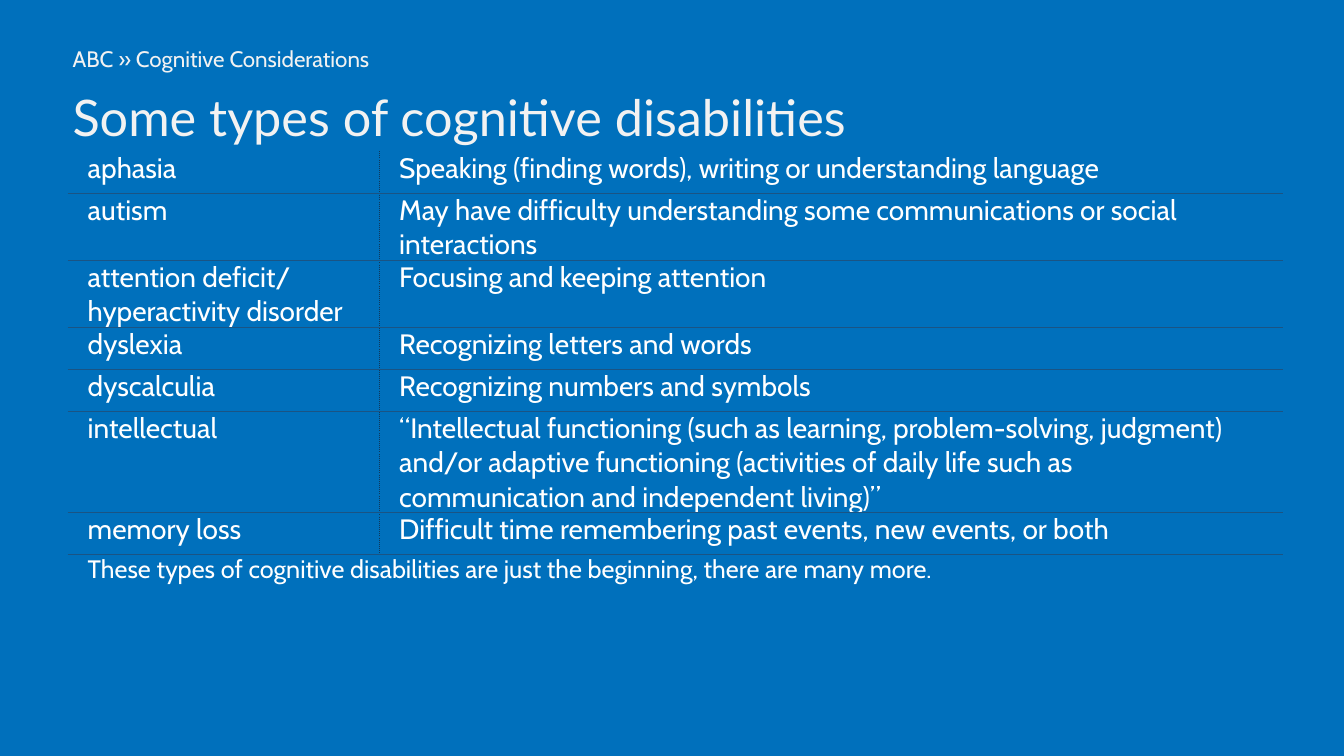
from lxml.etree import SubElement
from pptx import Presentation
from pptx.dml.color import RGBColor
from pptx.enum.text import MSO_ANCHOR as Anchor
from pptx.oxml.ns import qn
from pptx.util import Pt

BLUE = RGBColor(0x00, 0x70, 0xBC)
WHITE = RGBColor(0xFF, 0xFF, 0xFF)
PALE = RGBColor(0xF2, 0xF2, 0xF2)
ROW_LINE = RGBColor(0x1A, 0x54, 0x84)
COLUMN_LINE = RGBColor(0x10, 0x38, 0x5A)

DISABILITIES = [
    ("aphasia", "Speaking (finding words), writing or understanding language"),
    ("autism", "May have difficulty understanding some communications or social interactions"),
    ("attention deficit/\nhyperactivity disorder", "Focusing and keeping attention"),
    ("dyslexia", "Recognizing letters and words"),
    ("dyscalculia", "Recognizing numbers and symbols"),
    ("intellectual", "“Intellectual functioning (such as learning, problem-solving, judgment) "
                     "and/or adaptive functioning (activities of daily life such as "
                     "communication and independent living)”"),
    ("memory loss", "Difficult time remembering past events, new events, or both"),
]
CLOSING = "These types of cognitive disabilities are just the beginning, there are many more."


def write_text(frame, text, size=20, font="Cabin", color=WHITE, before=0, after=0, spacing=1.0):
    """Fill a text frame with one formatted paragraph."""
    frame.word_wrap = True
    paragraph = frame.paragraphs[0]
    paragraph.text = text
    paragraph.space_before, paragraph.space_after = Pt(before), Pt(after)
    paragraph.line_spacing = spacing
    for run in paragraph.runs:
        run.font.size, run.font.name = Pt(size), font
        run.font.color.rgb = color


def add_heading(slide, left, top, width, height, text, **text_format):
    """Add a vertically centred heading box."""
    frame = slide.shapes.add_textbox(Pt(left), Pt(top), Pt(width), Pt(height)).text_frame
    frame.margin_left = frame.margin_right = frame.margin_top = frame.margin_bottom = Pt(3.6)
    frame.vertical_anchor = Anchor.MIDDLE
    write_text(frame, text, **text_format)


def set_borders(cell, **borders):
    """Draw the given sides as (colour, dash) and clear the other sides."""
    properties = cell._tc.get_or_add_tcPr()
    for side in "LRTB":
        line = SubElement(properties, qn(f"a:ln{side}"), w=str(Pt(0.75)))
        if side in borders:
            color, dash = borders[side]
            fill = SubElement(line, qn("a:solidFill"))
            SubElement(fill, qn("a:srgbClr"), val=str(color))
            SubElement(line, qn("a:prstDash"), val=dash)
        else:
            SubElement(line, qn("a:noFill"))


def fill_cell(cell, text, borders, size=20):
    """Set the borders, background and text of a table cell."""
    set_borders(cell, **borders)
    cell.fill.solid()
    cell.fill.fore_color.rgb = BLUE
    cell.margin_left = cell.margin_right = Pt(14.4)
    cell.margin_top = cell.margin_bottom = 0
    write_text(cell.text_frame, text, size=size, before=10, after=5)


def add_disability_table(slide, left, top, column_widths, row_height):
    """Add the table of disabilities with a closing row across both columns."""
    row_count = len(DISABILITIES) + 1
    table = slide.shapes.add_table(row_count, 2, Pt(left), Pt(top), Pt(sum(column_widths)),
                                   Pt(row_height * row_count)).table
    table.first_row = table.horz_banding = False
    for column, width in zip(table.columns, column_widths):
        column.width = Pt(width)
    for row in table.rows:
        row.height = Pt(row_height)

    row_line, column_line = (ROW_LINE, "solid"), (COLUMN_LINE, "sysDot")
    for row_index, entry in enumerate(DISABILITIES):
        for column_index, text in enumerate(entry):
            borders = {"B": row_line, "RL"[column_index]: column_line}
            if row_index:
                borders["T"] = row_line
            fill_cell(table.cell(row_index, column_index), text, borders)

    closing_cell, covered_cell = table.rows[row_count - 1].cells
    closing_cell.merge(covered_cell)
    fill_cell(closing_cell, CLOSING, {"T": row_line}, size=18)
    set_borders(covered_cell, T=row_line)


def main():
    """Build the slide and save it."""
    presentation = Presentation()
    presentation.slide_width, presentation.slide_height = Pt(960), Pt(540)
    slide = presentation.slides.add_slide(presentation.slide_layouts[6])
    slide.background.fill.solid()
    slide.background.fill.fore_color.rgb = BLUE
    left = 48.24
    add_heading(slide, left, 54, 792, 57.6, "Some types of cognitive disabilities",
                size=36, font="Lato", color=PALE)
    add_heading(slide, left, 26, 792, 28, "ABC » Cognitive Considerations",
                size=16, color=PALE, before=8, spacing=1.2)
    add_disability_table(slide, left, 108, (222.5, 645.8), 30)
    presentation.save("out.pptx")


if __name__ == "__main__":
    main()
